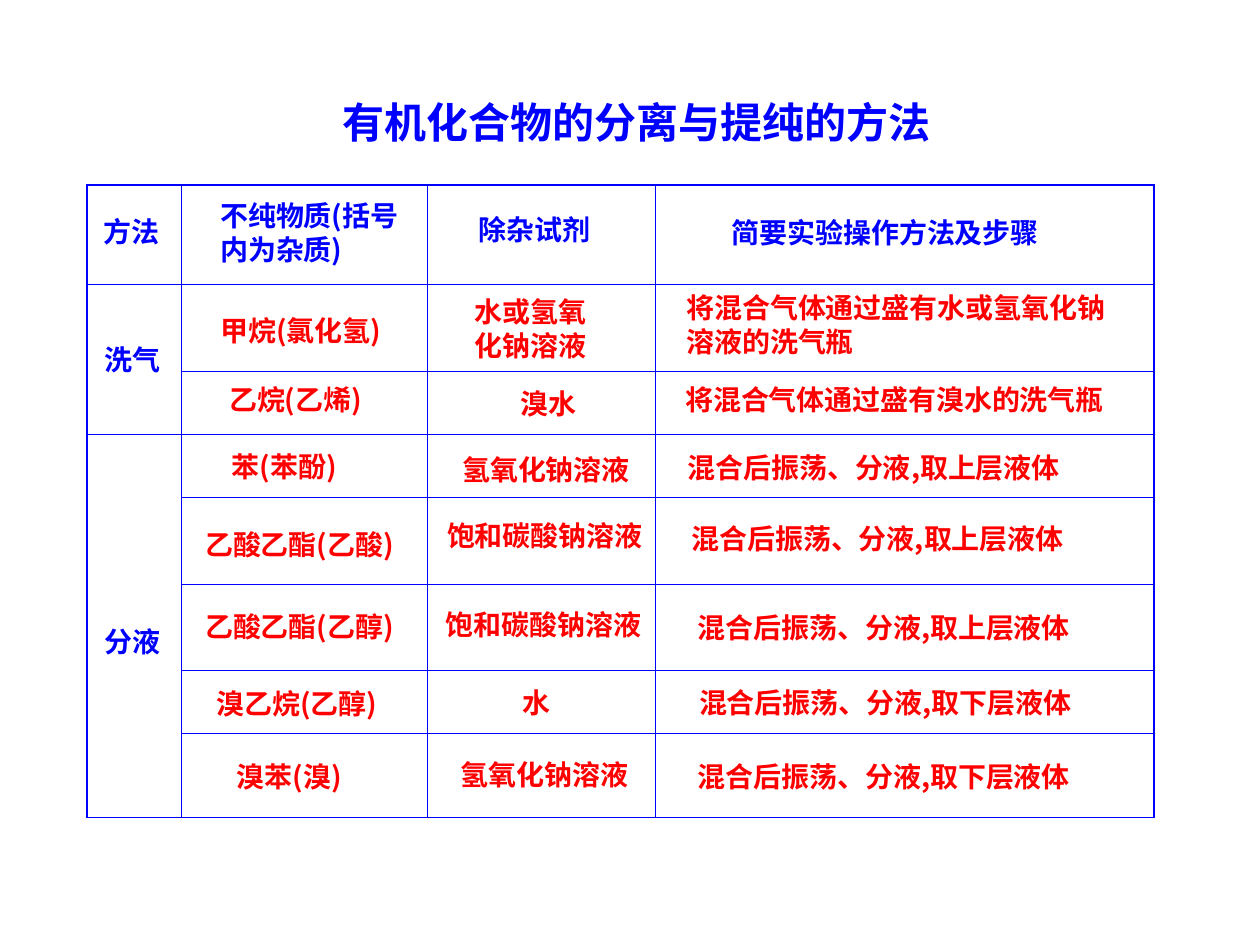
import itertools

import lxml.etree
import pptx
import pptx.dml.color
import pptx.enum.text
import pptx.oxml
import pptx.oxml.ns
import pptx.util

Inches = pptx.util.Inches
FONT = "Noto Sans CJK SC"
BLUE = "0000FF"
RED = "FF0000"
THIN, THICK = 0.45, 1.08
COLUMN_WIDTHS = [0.75, 1.95, 1.81, 3.96]
ROW_HEIGHTS = [0.79, 0.69, 0.5, 0.5, 0.69, 0.68, 0.5, 0.67]
METHOD_SPANS = [(1, 2), (3, 7)]
UPPER_LAYER = "混合后振荡、分液,取上层液体"
LOWER_LAYER = "混合后振荡、分液,取下层液体"
# row, column, offset from the cell corner, width, line spacing, lines
LABELS = [
    (0, 0, 0.03, 0.18, 0.81, 1, ["方法"]),
    (0, 1, 0.21, 0.06, 1.86, 1, ["不纯物质(括号", "内为杂质)"]),
    (0, 2, 0.31, 0.17, 1.16, 1, ["除杂试剂"]),
    (0, 3, 0.51, 0.19, 3.03, 1, ["简要实验操作方法及步骤"]),
    (1, 0, 0.04, 0.41, 0.74, 1, ["洗气"]),
    (1, 1, 0.21, 0.1, 1.65, 1.3, ["甲烷(氯化氢)"]),
    (1, 2, 0.28, 0.03, 1.19, 1, ["水或氢氧", "化钠溶液"]),
    (1, 3, 0.15, 0, 3.59, 1, ["将混合气体通过盛有水或氢氧化钠", "溶液的洗气瓶"]),
    (2, 1, 0.28, 0.04, 1.51, 1, ["乙烷(乙烯)"]),
    (2, 2, 0.64, 0.07, 1.72, 1, ["溴水"]),
    (2, 3, 0.14, 0.04, 3.82, 1, ["将混合气体通过盛有溴水的洗气瓶"]),
    (3, 0, 0.04, 1.46, 0.73, 1, ["分液"]),
    (3, 1, 0.3, 0.07, 1.25, 1, ["苯(苯酚)"]),
    (3, 2, 0.18, 0.01, 1.75, 1.3, ["氢氧化钠溶液"]),
    (3, 3, 0.16, 0.08, 3.5, 1, [UPPER_LAYER]),
    (4, 1, 0.09, 0.11, 1.91, 1.3, ["乙酸乙酯(乙酸)"]),
    (4, 2, 0.06, 0.12, 1.87, 1, ["饱和碳酸钠溶液"]),
    (4, 3, 0.19, 0.14, 3.48, 1, [UPPER_LAYER]),
    (5, 1, 0.09, 0.07, 1.94, 1.3, ["乙酸乙酯(乙醇)"]),
    (5, 2, 0.05, 0.13, 2, 1, ["饱和碳酸钠溶液"]),
    (5, 3, 0.24, 0.16, 3.44, 1, [UPPER_LAYER]),
    (6, 1, 0.18, 0, 1.7, 1.3, ["溴乙烷(乙醇)"]),
    (6, 2, 0.66, 0.07, 0.61, 1, ["水"]),
    (6, 3, 0.25, 0.07, 3.56, 1, [LOWER_LAYER]),
    (7, 1, 0.34, 0.08, 1.48, 1.3, ["溴苯(溴)"]),
    (7, 2, 0.17, 0.14, 1.72, 1, ["氢氧化钠溶液"]),
    (7, 3, 0.24, 0.16, 3.53, 1, [LOWER_LAYER]),
]


def color(value):
    """Turn a hex string into a colour."""
    return pptx.dml.color.RGBColor.from_string(value)


def add_text(slide, box, lines, size, value, spacing=1):
    """Place bold lines of text in a box given in inches."""
    shape = slide.shapes.add_textbox(*map(Inches, box))
    frame = shape.text_frame
    frame.word_wrap = True
    frame.auto_size = pptx.enum.text.MSO_AUTO_SIZE.SHAPE_TO_FIT_TEXT
    for index, line in enumerate(lines):
        paragraph = frame.add_paragraph() if index else frame.paragraphs[0]
        paragraph.line_spacing = float(spacing)
        run = paragraph.add_run()
        run.text = line
        run.font.size = pptx.util.Pt(size)
        run.font.bold = True
        run.font.color.rgb = color(value)
        run.font.name = FONT
        east_asian = lxml.etree.SubElement(run.font._element, pptx.oxml.ns.qn("a:ea"))
        east_asian.set("typeface", FONT)


def set_border(cell, side, width):
    """Draw one blue border of a cell."""
    properties = cell._tc.get_or_add_tcPr()
    properties.append(pptx.oxml.parse_xml(
        f'<a:ln{side} {pptx.oxml.ns.nsdecls("a")} w="{pptx.util.Pt(width)}">'
        f'<a:solidFill><a:srgbClr val="{BLUE}"/></a:solidFill></a:ln{side}>'))


def add_grid(slide, left, top):
    """Draw the ruled table with its merged method cells."""
    rows, columns = len(ROW_HEIGHTS), len(COLUMN_WIDTHS)
    frame = slide.shapes.add_table(
        rows, columns, Inches(left), Inches(top),
        Inches(sum(COLUMN_WIDTHS)), Inches(sum(ROW_HEIGHTS)))
    table = frame.table
    table.first_row = table.horz_banding = False
    for column, width in zip(table.columns, COLUMN_WIDTHS):
        column.width = Inches(width)
    for row, height in zip(table.rows, ROW_HEIGHTS):
        row.height = Inches(height)
    for row, column in itertools.product(range(rows), range(columns)):
        cell = table.cell(row, column)
        outer = {"L": column == 0, "R": column == columns - 1,
                 "T": row == 0, "B": row == rows - 1}
        for side, is_outer in outer.items():
            set_border(cell, side, THICK if is_outer else THIN)
        cell.fill.background()
    for first, last in METHOD_SPANS:
        table.cell(first, 0).merge(table.cell(last, 0))


def add_methods(slide, left, top):
    """Place the table and the labels over its cells."""
    add_grid(slide, left, top)
    for row, column, across, down, width, spacing, lines in LABELS:
        box = (left + sum(COLUMN_WIDTHS[:column]) + across,
               top + sum(ROW_HEIGHTS[:row]) + down,
               width, 0.1 + 0.27 * len(lines) * spacing)
        value = BLUE if row == 0 or column == 0 else RED
        add_text(slide, box, lines, 16, value, spacing)


def main():
    """Build and save the slide."""
    presentation = pptx.Presentation()
    presentation.slide_width = Inches(10)
    presentation.slide_height = Inches(7.5)
    slide = presentation.slides.add_slide(presentation.slide_layouts[6])
    add_text(slide, (2.62, 0.72, 5.13, 0.5), ["有机化合物的分离与提纯的方法"], 24, BLUE)
    add_methods(slide, 0.69, 1.47)
    presentation.save("out.pptx")


if __name__ == "__main__":
    main()
